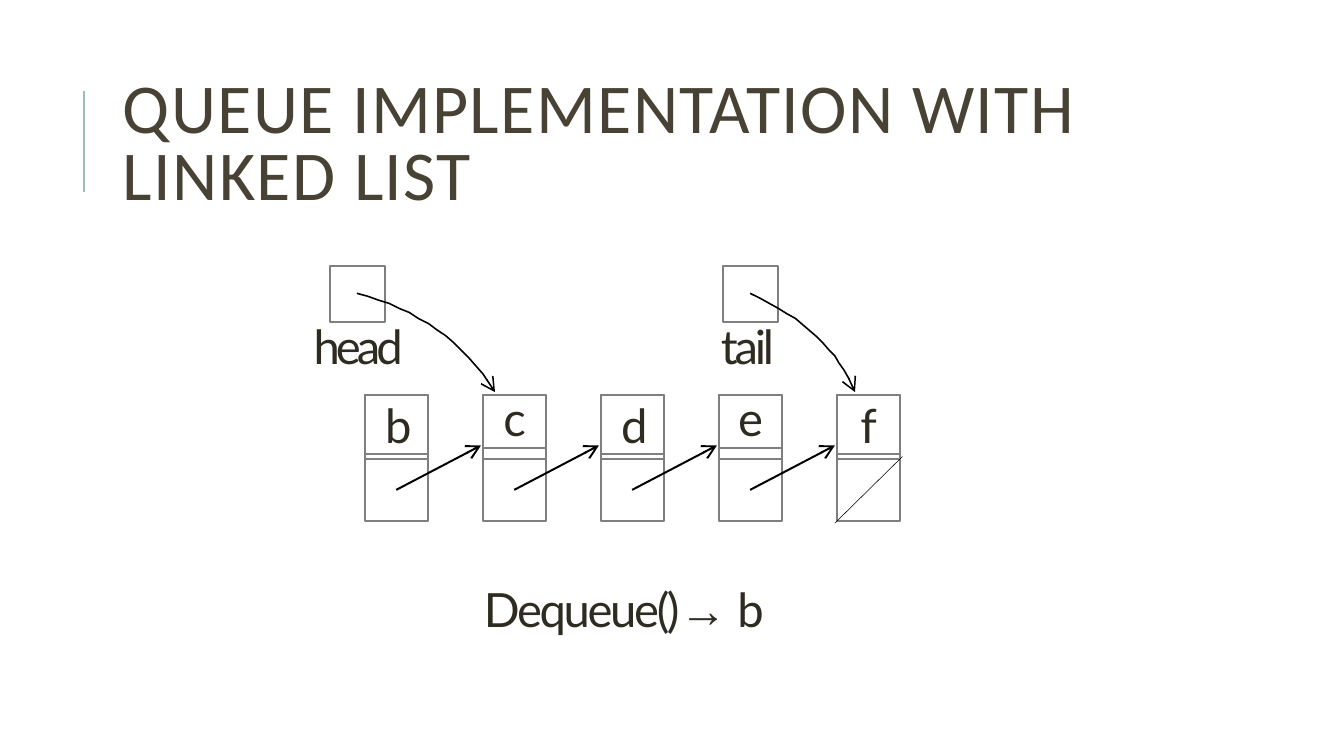
from dataclasses import dataclass
from lxml import etree
from pptx import Presentation, util as u
from pptx.dml.color import RGBColor
from pptx.enum import shapes, text
from pptx.oxml.ns import qn

PX = 9144  # 100 px to the inch
INK = {"text": "2E2B21", "title": "474233", "box": "7F7F7F",
       "arrow": "000000", "bar": "9CBEBD"}
TOP, SIDE, PITCH, FIRST = 392, 63, 117, 362


@dataclass
class Node:
    label: str
    seam: int           # height of the label box
    inset: int = 0      # top inset
    indent: int = 0
    center: bool = False
    lead: float | None = None
    track: float = -2.3


@dataclass
class End:
    label: str
    box: int            # left of the square
    name: tuple[int, int]  # left and width of the label
    track: float
    bend: tuple[int, int]
    tip: tuple[int, int]


NODES = [
    Node("b", 58, 1, 20),
    Node("c", 52, center=True, lead=36.6, track=-2.5),
    Node("d", 58, 1, 20),
    Node("e", 52, center=True, lead=36.6, track=-4.2),
    Node("f", 58, 1, center=True, track=-2.7),
]
ENDS = [
    End("head", 327, (308, 93), -2.8, (444, 314), (491, 389)),
    End("tail", 717, (712, 64), -2.3, (824, 328), (848, 389)),
]

deck = Presentation()
deck.slide_width, deck.slide_height = 1333 * PX, 750 * PX
slide = deck.slides.add_slide(deck.slide_layouts[6])
draw = slide.shapes


def color(name: str) -> RGBColor:
    return RGBColor.from_string(INK[name])


def write(frame, words: str, size: float = 33.7, font: str = "Lato",
          ink: str = "text", track: float = 0, indent: int = 0,
          center: bool = False, lead: float | None = None,
          italic: bool = False) -> None:
    """Add a run to the first paragraph of a frame."""
    para = frame.paragraphs[0]
    para.alignment = text.PP_ALIGN.CENTER if center else text.PP_ALIGN.LEFT
    if lead:
        para.line_spacing = u.Pt(lead) if lead > 3 else lead
    if indent:
        para._p.get_or_add_pPr().set("marL", str(indent * PX))
    run = para.add_run()
    run.text = words
    run.font.size, run.font.name = u.Pt(size), font
    run.font.italic = italic
    run.font.color.rgb = color(ink)
    run._r.get_or_add_rPr().set("spc", str(round(track * 100)))


def setup(frame, left: int = 0, top: int = 0):
    frame.word_wrap = True
    frame.margin_left = frame.margin_right = left * PX
    frame.margin_top, frame.margin_bottom = top * PX, 0
    frame.vertical_anchor = text.MSO_ANCHOR.TOP
    return frame


def label(x: int, y: int, w: int, h: int, left: int = 0, top: int = 0):
    return setup(draw.add_textbox(x * PX, y * PX, w * PX, h * PX).text_frame,
                 left, top)


def box(x: int, y: int, w: int, h: int):
    item = draw.add_shape(shapes.MSO_SHAPE.RECTANGLE,
                          x * PX, y * PX, w * PX, h * PX)
    item.shadow.inherit = False
    item.fill.background()
    item.line.color.rgb = color("box")
    item.line.width = u.Pt(1.42)
    return item


def stroke(item, ink: str, width: float, arrow: bool) -> None:
    item.line.color.rgb = color(ink)
    item.line.width = u.Pt(width)
    if arrow:
        etree.SubElement(item.line._get_or_add_ln(), qn("a:tailEnd"),
                         type="arrow", w="lg", len="lg")


def line(x1: int, y1: int, x2: int, y2: int, ink: str = "arrow",
         width: float = 1.42, arrow: bool = False) -> None:
    item = draw.add_connector(shapes.MSO_CONNECTOR.STRAIGHT,
                              x1 * PX, y1 * PX, x2 * PX, y2 * PX)
    stroke(item, ink, width, arrow)
    etree.SubElement(item._element.spPr, qn("a:effectLst"))


def curve(start: tuple[int, int], bend: tuple[int, int],
          tip: tuple[int, int], steps: int = 16) -> None:
    """Draw an arrow along a quadratic curve."""
    points = []
    for i in range(1, steps + 1):
        t = i / steps
        points.append(tuple((1 - t) ** 2 * a + 2 * t * (1 - t) * b + t * t * c
                            for a, b, c in zip(start, bend, tip)))
    path = draw.build_freeform(*start, scale=PX)
    path.add_line_segments(points, close=False)
    item = path.convert_to_shape()
    item.shadow.inherit = False
    item.fill.background()
    stroke(item, "arrow", 1.13, True)


# Title
line(83, 190, 83, 90, "bar", 1.5)
title = label(112, 64, 1063, 164, 10, 5)
title.margin_bottom = 5 * PX
title.vertical_anchor = text.MSO_ANCHOR.MIDDLE
write(title, "QUEUE IMPLEMENTATION WITH LINKED LIST", size=50, font="Calibri",
      ink="title", track=1, lead=0.8)

# Head and tail squares
for end in ENDS:
    box(end.box, 264, 55, 55)
    left, width = end.name
    write(label(left, 312, width, 60, top=3), end.label,
          track=end.track, indent=3)

# Linked nodes
for i, node in enumerate(NODES):
    x = FIRST + i * PITCH
    box(x, TOP, SIDE, SIDE)
    cell = box(x, TOP, SIDE, node.seam)
    write(setup(cell.text_frame, top=node.inset), node.label,
          track=node.track, indent=node.indent, center=node.center,
          lead=node.lead)
    box(x, TOP + SIDE, SIDE, SIDE - 1)

# Pointers between nodes, and the empty last one
for i in range(len(NODES) - 1):
    x = FIRST + i * PITCH
    line(x + 31, 486, x + PITCH - 2, 442, arrow=True)
line(828, 519, 895, 453, width=0.4)
for end in ENDS:
    curve((end.box + 27, 291), end.bend, end.tip)

# Operation and its result
call = label(477, 578, 286, 55)
write(call, "Dequeue()", track=-1.7, indent=3, lead=38.7)
write(call, "→ ", font="Arial", track=-1.7, italic=True, lead=38.7)
write(call, "b", track=-2.3, lead=38.7)

deck.save("out.pptx")
